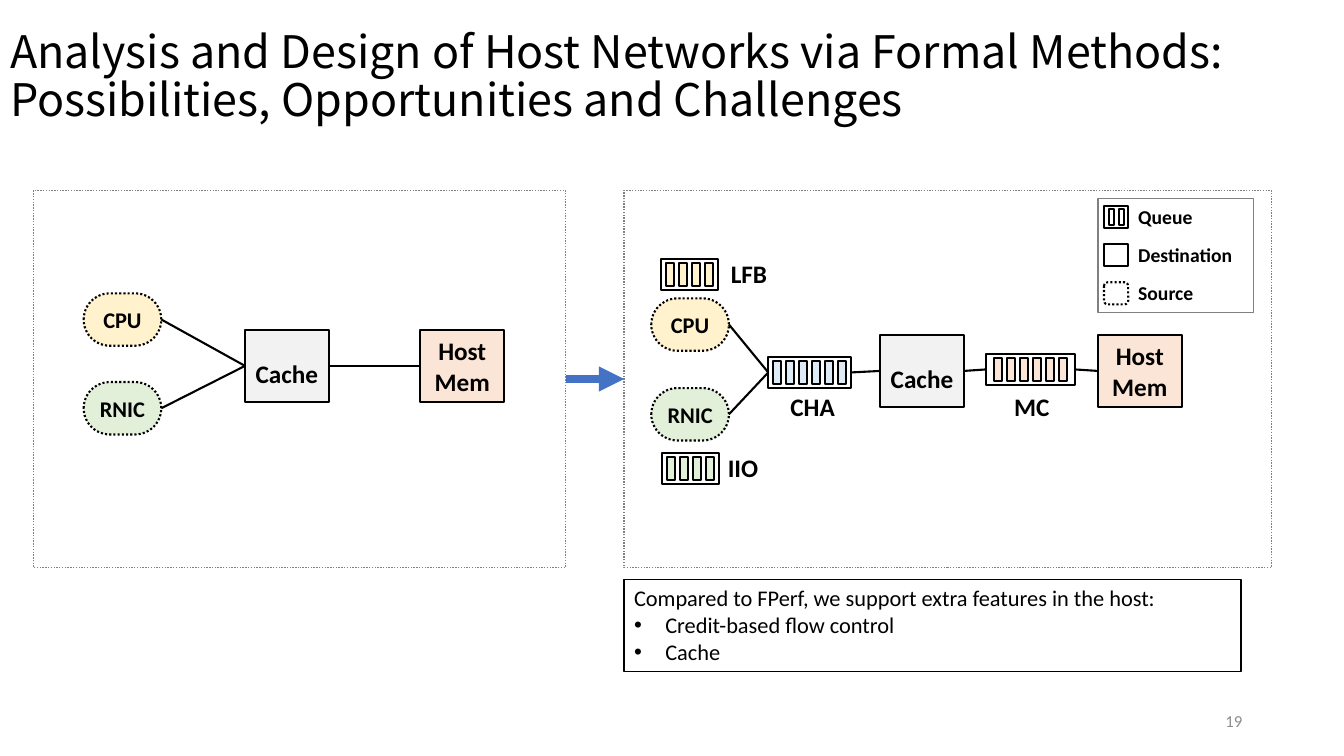
"""Build the slide on host networks: a simple host model refined with queues."""
from lxml.etree import SubElement
from pptx import Presentation
from pptx.dml.color import RGBColor
from pptx.enum.dml import MSO_LINE
from pptx.enum.shapes import MSO_CONNECTOR, MSO_SHAPE
from pptx.enum.text import MSO_ANCHOR, PP_ALIGN
from pptx.oxml.ns import qn
from pptx.util import Inches, Pt

COLORS = {"black": "000000", "gray": "808080", "number": "8C8C8C", "white": "FFFFFF",
          "blue": "4472C4", "cpu": "FFF2CC", "rnic": "E2F0D9", "cache": "F2F2F2",
          "memory": "FBE5D6", "cha": "DEEBF7"}

TITLE = ("Analysis and Design of Host Networks via Formal Methods: "
         "Possibilities, Opportunities and Challenges")
PAGE_NUMBER = "19"
PANELS = {"simple": (0.33, 1.89, 5.28, 3.74), "refined": (6.19, 1.89, 6.42, 3.74)}
SOURCE_SIZE = (0.77, 0.52)
DESTINATION_SIZE = (0.83, 0.72)
SOURCES = [
    ("simple CPU", "CPU", 0.83, 2.91, "cpu"),
    ("simple RNIC", "RNIC", 0.83, 3.79, "rnic"),
    ("CPU", "CPU", 6.46, 2.96, "cpu"),
    ("RNIC", "RNIC", 6.46, 3.85, "rnic"),
]
DESTINATIONS = [
    ("simple Cache", "Cache", 2.43, 3.27, "cache", 1.5),
    ("simple Mem", "Host Mem", 4.17, 3.27, "memory", None),
    ("Cache", "Cache", 8.73, 3.32, "cache", 1.5),
    ("Mem", "Host Mem", 10.89, 3.32, "memory", None),
]
QUEUES = [
    ("LFB", (6.56, 2.57, 0.56, 0.31), 4, "cpu", (7.15, 2.51)),
    ("IIO", (6.57, 4.49, 0.56, 0.31), 4, "rnic", (7.12, 4.44)),
    ("CHA", (7.62, 3.54, 0.82, 0.31), 6, "cha", (7.74, 3.83)),
    ("MC", (9.78, 3.51, 0.88, 0.31), 6, "memory", (9.96, 3.83)),
]
LINKS = [
    ("simple CPU", "simple Cache"), ("simple RNIC", "simple Cache"),
    ("simple Cache", "simple Mem"), ("CPU", "CHA"), ("RNIC", "CHA"),
    ("CHA", "Cache"), ("Cache", "MC"), ("MC", "Mem"),
]
LEGEND_BOX = (10.89, 1.97, 1.54, 1.13)
LEGEND = ["Queue", "Destination", "Source"]
LEGEND_PITCH = 0.38
NOTE_BOX = (6.19, 5.75, 6.12, 0.91)
NOTE = "Compared to FPerf, we support extra features in the host:"
FEATURES = ["Credit-based flow control", "Cache"]

prs = Presentation()
prs.slide_width, prs.slide_height = Inches(13.33), Inches(7.5)
slide = prs.slides.add_slide(prs.slide_layouts[5])


def rgb(name):
    """Look up a named colour."""
    return RGBColor.from_string(COLORS[name])


def write(frame, *lines, size=18, bold=True, color="black", font="Calibri",
          align=PP_ALIGN.LEFT, anchor=MSO_ANCHOR.TOP, spacing=None, margins=(0.1, 0.05)):
    """Fill a text frame with one paragraph per line."""
    frame.word_wrap = True
    frame.vertical_anchor = anchor
    frame.margin_left = frame.margin_right = Inches(margins[0])
    frame.margin_top = frame.margin_bottom = Inches(margins[1])
    for index, line in enumerate(lines):
        paragraph = frame.add_paragraph() if index else frame.paragraphs[0]
        paragraph.alignment, paragraph.line_spacing = align, spacing
        run = paragraph.add_run()
        run.text = line
        run.font.size, run.font.bold, run.font.name = Pt(size), bold, font
        run.font.color.rgb = rgb(color)


def add_label(text, box, **style):
    """Place free-standing text."""
    label = slide.shapes.add_textbox(*map(Inches, box))
    write(label.text_frame, text, **style)


def add_box(box, fill=None, line="black", width=1.5, dotted=False, rounding=None):
    """Draw a rectangle, rounded when a rounding is given."""
    kind = MSO_SHAPE.RECTANGLE if rounding is None else MSO_SHAPE.ROUNDED_RECTANGLE
    shape = slide.shapes.add_shape(kind, *map(Inches, box))
    shape.shadow.inherit = False
    if rounding is not None:
        shape.adjustments[0] = rounding
    if fill:
        shape.fill.solid()
        shape.fill.fore_color.rgb = rgb(fill)
    else:
        shape.fill.background()
    shape.line.color.rgb = rgb(line)
    shape.line.width = Pt(width)
    if dotted:
        shape.line.dash_style = MSO_LINE.ROUND_DOT
    return shape


def add_queue(box, count, fill, cell=0.08, pitch=0.13, cell_height=0.23):
    """Draw a queue with its cells centred inside."""
    left, top, width, height = box
    frame = add_box(box, "white")
    first = left + (width - (count - 1) * pitch - cell) / 2
    for index in range(count):
        add_box((first + index * pitch, top + (height - cell_height) / 2, cell, cell_height), fill)
    return frame


def join(start, end, color="black", width=1.5, arrow=False):
    """Connect the right side of one shape to the left side of another."""
    link = slide.shapes.add_connector(MSO_CONNECTOR.STRAIGHT, 0, 0, 0, 0)
    link.begin_connect(start, 3)
    link.end_connect(end, 1)
    link.line.color.rgb = rgb(color)
    link.line.width = Pt(width)
    if arrow:
        SubElement(link.line._get_or_add_ln(), qn("a:tailEnd"), type="triangle")
    SubElement(link._element.spPr, qn("a:effectLst"))


title = slide.shapes.title
title.left, title.top, title.width, title.height = map(Inches, (0, 0.02, 13.33, 1.51))
write(title.text_frame, TITLE, size=32, bold=False, font="Noto Sans CJK SC",
      anchor=MSO_ANCHOR.MIDDLE, spacing=0.9)
add_label(PAGE_NUMBER, (9.42, 6.95, 3, 0.4), size=12, bold=False, color="number",
          align=PP_ALIGN.RIGHT, anchor=MSO_ANCHOR.MIDDLE)

panels = {name: add_box(box, line="gray", width=1, dotted=True) for name, box in PANELS.items()}
join(panels["simple"], panels["refined"], color="blue", width=6, arrow=True)

nodes = {}
for key, text, left, top, fill in SOURCES:
    nodes[key] = add_box((left, top, *SOURCE_SIZE), fill, dotted=True, rounding=0.5)
    write(nodes[key].text_frame, text, size=16, align=PP_ALIGN.CENTER,
          anchor=MSO_ANCHOR.MIDDLE, margins=(0, 0.04))
for key, text, left, top, fill, spacing in DESTINATIONS:
    nodes[key] = add_box((left, top, *DESTINATION_SIZE), fill)
    write(nodes[key].text_frame, text, align=PP_ALIGN.CENTER,
          anchor=MSO_ANCHOR.MIDDLE, spacing=spacing, margins=(0.04, 0.05))
for key, box, count, fill, label_at in QUEUES:
    nodes[key] = add_queue(box, count, fill)
    add_label(key, (*label_at, 0.64, 0.4))
for start, end in LINKS:
    join(nodes[start], nodes[end])

add_box(LEGEND_BOX, line="gray", width=1)
for row, entry in enumerate(LEGEND):
    top = LEGEND_BOX[1] + 0.07 + row * LEGEND_PITCH
    symbol = (LEGEND_BOX[0] + 0.06, top, 0.24, 0.22)
    if entry == "Queue":
        add_queue(symbol, 2, "white", cell=0.05, pitch=0.1, cell_height=0.16)
    elif entry == "Destination":
        add_box(symbol)
    else:
        add_box(symbol, dotted=True, rounding=0.17)
    add_label(entry, (LEGEND_BOX[0] + 0.3, top - 0.06, 1.24, 0.34), size=14)

note = add_box(NOTE_BOX, "white", width=1)
write(note.text_frame, NOTE, *FEATURES, size=16, bold=False, align=PP_ALIGN.JUSTIFY)
for feature in note.text_frame.paragraphs[1:]:
    properties = feature._p.get_or_add_pPr()
    properties.set("marL", str(Inches(0.31)))
    properties.set("indent", str(-Inches(0.31)))
    SubElement(properties, qn("a:buFont"), typeface="Arial")
    SubElement(properties, qn("a:buChar"), char="•")

prs.save("out.pptx")
